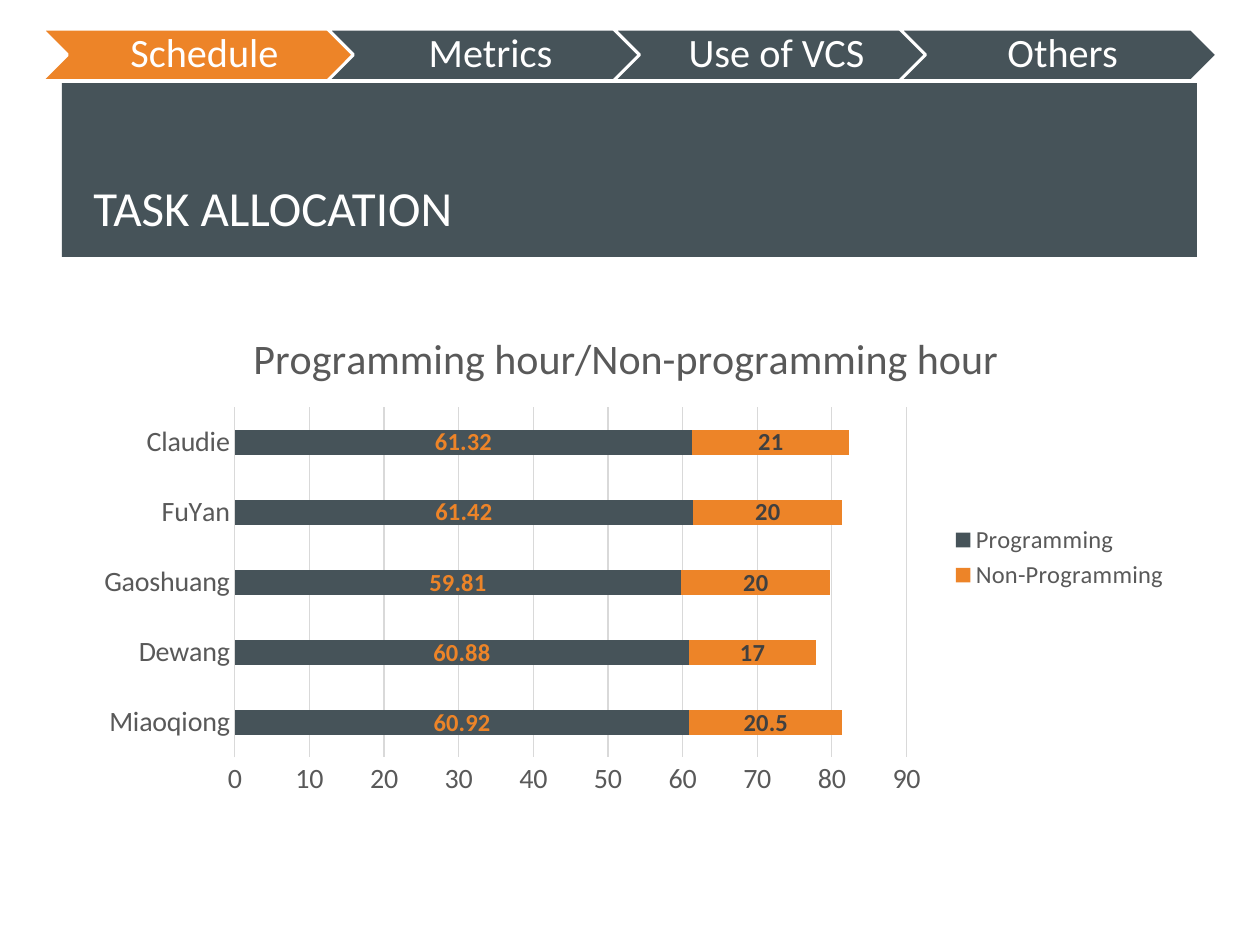
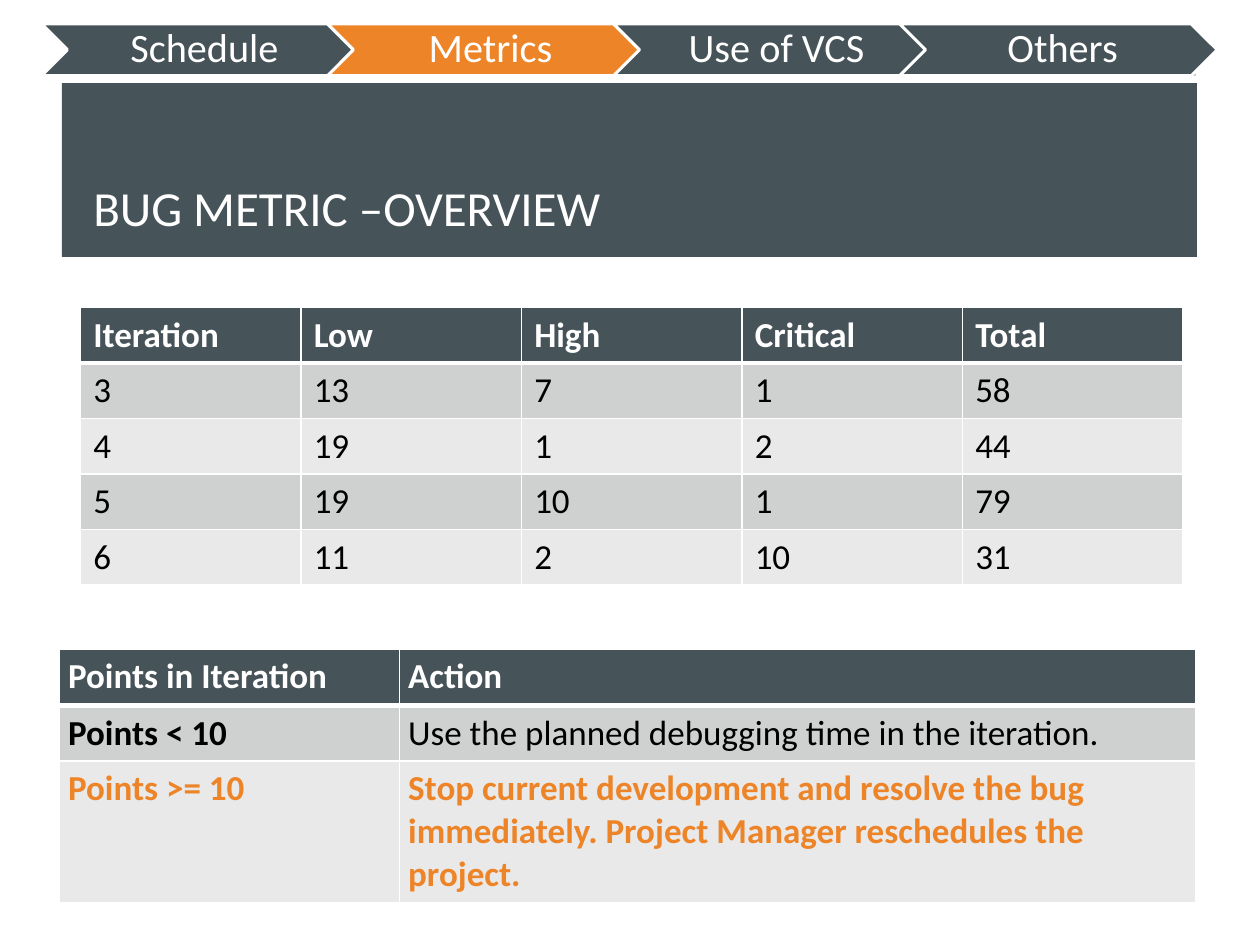
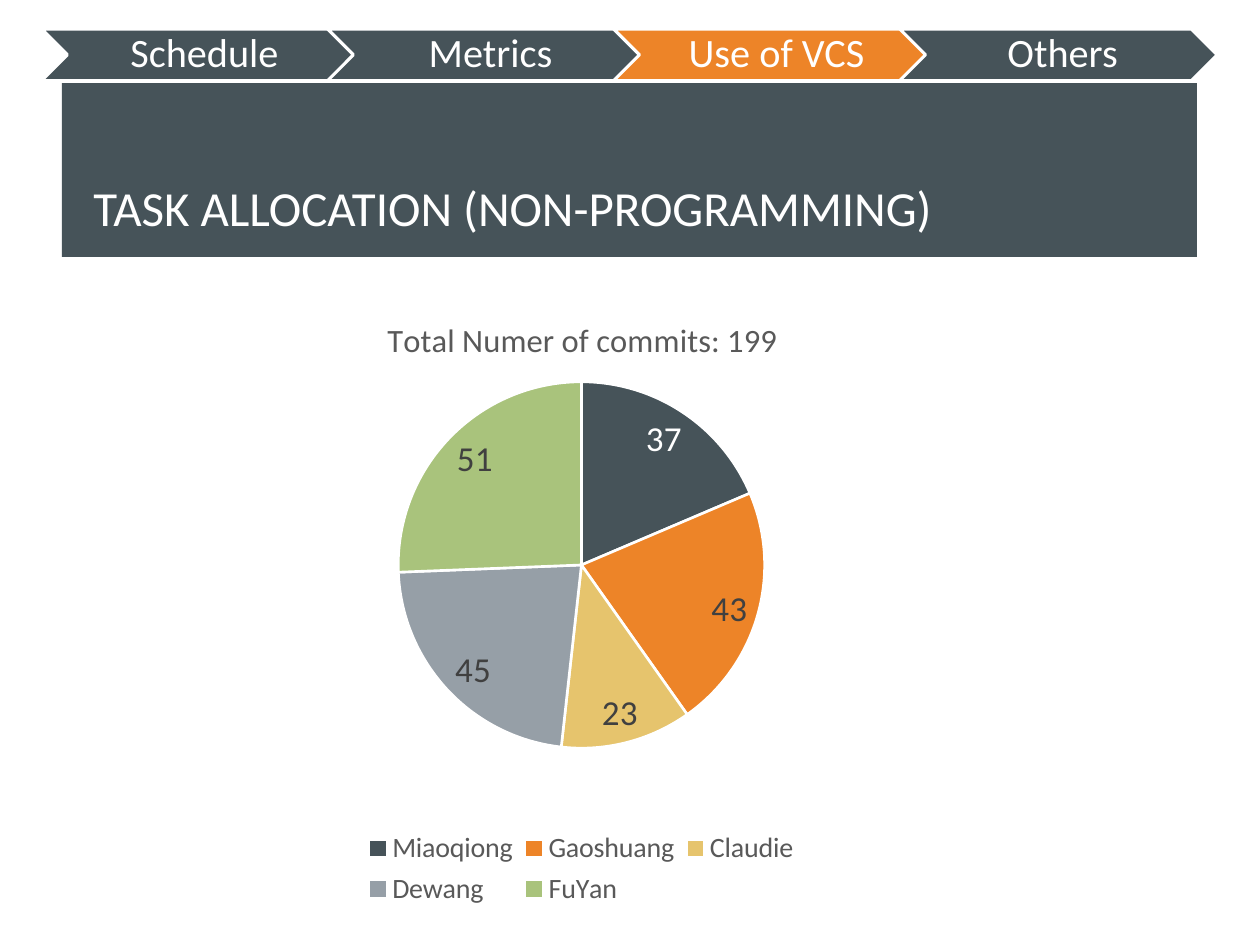
from lxml import etree
from pptx import Presentation
from pptx.chart.data import CategoryChartData
from pptx.dml.color import RGBColor
from pptx.enum.chart import XL_CHART_TYPE, XL_LABEL_POSITION, XL_LEGEND_POSITION, XL_TICK_MARK
from pptx.enum.shapes import MSO_SHAPE
from pptx.enum.text import MSO_ANCHOR, PP_ALIGN
from pptx.oxml.ns import qn
from pptx.util import Inches, Pt

RECTANGLE, CHEVRON = MSO_SHAPE.RECTANGLE, MSO_SHAPE.CHEVRON
BAR_STACKED, PIE = XL_CHART_TYPE.BAR_STACKED, XL_CHART_TYPE.PIE
CENTER_LABEL, BEST_FIT = XL_LABEL_POSITION.CENTER, XL_LABEL_POSITION.BEST_FIT
LEGEND_RIGHT, LEGEND_BOTTOM = XL_LEGEND_POSITION.RIGHT, XL_LEGEND_POSITION.BOTTOM
NO_TICK = XL_TICK_MARK.NONE
MIDDLE, BOTTOM = MSO_ANCHOR.MIDDLE, MSO_ANCHOR.BOTTOM
LEFT, CENTER = PP_ALIGN.LEFT, PP_ALIGN.CENTER

FONT = "Calibri"
TITLE_ONLY = 5
WHITE = RGBColor(0xFF, 0xFF, 0xFF)
BLACK = RGBColor(0x00, 0x00, 0x00)
SLATE = RGBColor(0x46, 0x53, 0x59)
ORANGE = RGBColor(0xED, 0x84, 0x28)
STEEL = RGBColor(0x96, 0x9F, 0xA7)
SAND = RGBColor(0xE6, 0xC4, 0x6D)
GREEN = RGBColor(0xA9, 0xC3, 0x7C)
CHART_TEXT = RGBColor(0x59, 0x59, 0x59)
LABEL_TEXT = RGBColor(0x40, 0x40, 0x40)
GRID = RGBColor(0xD9, 0xD9, 0xD9)
ROW_FILLS = (RGBColor(0xE9, 0xE9, 0xEA), RGBColor(0xCF, 0xD1, 0xD1))

SECTIONS = ("Schedule", "Metrics", "Use of VCS", "Others")


def style_font(font, size, color, bold=False):
    font.name, font.size, font.bold = FONT, Pt(size), bold
    font.color.rgb = color


# Shared frame: bands, title and section chevrons
def add_shape(slide, kind, left, top, width, height, color):
    shape = slide.shapes.add_shape(
        kind, Inches(left), Inches(top), Inches(width), Inches(height))
    shape.shadow.inherit = False
    shape.fill.solid()
    shape.fill.fore_color.rgb = color
    shape.line.fill.background()
    return shape


def add_bands(slide):
    for index, color in enumerate((SLATE, ORANGE, STEEL)):
        add_shape(slide, RECTANGLE, 0.49 + index * 3.02, 0.48, 2.96, 0.12, color)
    add_shape(slide, RECTANGLE, 0.49, 0.66, 9.01, 1.38, SLATE)


def set_title(slide, text):
    title = slide.shapes.title
    title.left, title.top = Inches(0.64), Inches(0.75)
    title.width, title.height = Inches(8.74), Inches(1.18)
    frame = title.text_frame
    frame.text = text
    frame.vertical_anchor = BOTTOM
    frame.paragraphs[0].alignment = LEFT
    style_font(frame.paragraphs[0].runs[0].font, 28, WHITE)
    # Bring the title in front of its band
    slide.shapes._spTree.append(title._element)


def add_sections(slide, active, top):
    for index, name in enumerate(SECTIONS):
        color = ORANGE if name == active else SLATE
        chevron = add_shape(slide, CHEVRON, 0.33 + index * 2.27, top, 2.52, 0.41, color)
        chevron.line.color.rgb = WHITE
        chevron.line.width = Pt(1.75)
        frame = chevron.text_frame
        frame.margin_left = Inches(0.1)
        frame.margin_right = frame.margin_top = frame.margin_bottom = Inches(0.03)
        frame.vertical_anchor = MIDDLE
        frame.text = name
        para = frame.paragraphs[0]
        para.alignment = CENTER
        para.line_spacing = 0.9
        style_font(para.runs[0].font, 23, WHITE)


def add_framed_slide(deck, title, section, sections_top=0.23):
    slide = deck.slides.add_slide(deck.slide_layouts[TITLE_ONLY])
    add_bands(slide)
    set_title(slide, title)
    add_sections(slide, section, sections_top)
    return slide


# Charts
def place_part(part, position, **fractions):
    """Give a chart part a fixed place, in fractions of the chart."""
    old = part.find(qn("c:layout"))
    if old is not None:
        part.remove(old)
    layout = etree.Element(qn("c:layout"))
    manual = etree.SubElement(layout, qn("c:manualLayout"))
    if part.tag == qn("c:plotArea"):
        etree.SubElement(manual, qn("c:layoutTarget"), val="inner")
    for mode in ("xMode", "yMode"):
        etree.SubElement(manual, qn("c:" + mode), val="edge")
    for name, value in fractions.items():
        etree.SubElement(manual, qn("c:" + name), val=str(value))
    part.insert(position, layout)


def add_chart(slide, kind, box, categories, series, title, title_size, title_at,
              plot_at, legend_position, legend_size):
    data = CategoryChartData()
    data.categories = categories
    for name, values in series:
        data.add_series(name, values)
    chart = slide.shapes.add_chart(kind, *map(Inches, box), data).chart
    style_font(chart.font, 10, BLACK)
    frame = chart.chart_title.text_frame
    frame.text = title
    style_font(frame.paragraphs[0].runs[0].font, title_size, CHART_TEXT)
    place_part(chart.chart_title._element, 1, **title_at)
    plot_area = chart._chartSpace.find(".//" + qn("c:plotArea"))
    place_part(plot_area, 0, **plot_at)
    chart.has_legend = True
    chart.legend.position = legend_position
    chart.legend.include_in_layout = False
    style_font(chart.legend.font, legend_size, CHART_TEXT)
    return chart


def show_values(labels, position, size, color, bold=False):
    labels.show_value = True
    labels.position = position
    style_font(labels.font, size, color, bold)


def add_hours_chart(slide):
    chart = add_chart(
        slide, BAR_STACKED, (0.64, 2.44, 8.74, 3.97),
        ("Miaoqiong", "Dewang", "Gaoshuang", "FuYan", "Claudie"),
        (("Programming", (60.92, 60.88, 59.81, 61.42, 61.32)),
         ("Non-Programming", (20.5, 17, 20, 20, 21))),
        "Programming hour/Non-programming hour", 24, dict(x=0.15, y=0.03),
        dict(x=0.14, y=0.2, w=0.61, h=0.7), LEGEND_RIGHT, 14)
    plot = chart.plots[0]
    plot.gap_width, plot.overlap, plot.vary_by_categories = 182, 100, False
    for series, color, label_color in zip(
            plot.series, (SLATE, ORANGE), (ORANGE, LABEL_TEXT)):
        series.format.fill.solid()
        series.format.fill.fore_color.rgb = color
        show_values(series.data_labels, CENTER_LABEL, 14, label_color, True)
    hours = chart.value_axis
    for axis in (chart.category_axis, hours):
        axis.major_tick_mark = axis.minor_tick_mark = NO_TICK
        style_font(axis.tick_labels.font, 16, CHART_TEXT)
    hours.minimum_scale, hours.maximum_scale, hours.major_unit = 0, 90, 10
    hours.format.line.fill.background()
    for line in (chart.category_axis.format.line, hours.major_gridlines.format.line):
        line.color.rgb = GRID
        line.width = Pt(0.75)


def add_commits_chart(slide):
    chart = add_chart(
        slide, PIE, (1.31, 2.32, 6.61, 4.92),
        ("Miaoqiong", "Gaoshuang", "Claudie", "Dewang", "FuYan"),
        (("Series 1", (37, 43, 23, 45, 51)),),
        "Total Numer of commits: 199", 18.6, dict(x=0.26, y=0.03),
        dict(x=0.28, y=0.14, w=0.44, h=0.6), LEGEND_BOTTOM, 16)
    place_part(chart.legend._element, 1, x=0.23, y=0.86, w=0.54, h=0.14)
    plot = chart.plots[0]
    plot.vary_by_categories = True
    commits = plot.series[0]
    for index, color in enumerate((SLATE, ORANGE, SAND, STEEL, GREEN)):
        slice_format = commits.points[index].format
        slice_format.fill.solid()
        slice_format.fill.fore_color.rgb = color
        slice_format.line.color.rgb = WHITE
        slice_format.line.width = Pt(1.5)
    show_values(commits.data_labels, BEST_FIT, 20, LABEL_TEXT)
    dark_slice_label = commits.points[0].data_label
    style_font(dark_slice_label.font, 20, WHITE)
    dark_slice_label.position = BEST_FIT


# Tables
def set_borders(cell, top, bottom):
    properties = cell._tc.get_or_add_tcPr()
    for index, (side, width) in enumerate(
            (("L", 1), ("R", 1), ("T", top), ("B", bottom))):
        line = etree.Element(qn("a:ln" + side), w=str(Pt(width)))
        fill = etree.SubElement(line, qn("a:solidFill"))
        etree.SubElement(fill, qn("a:srgbClr"), val=str(WHITE))
        properties.insert(index, line)


def style_cell(cell, color, bold):
    style_font(cell.text_frame.paragraphs[0].runs[0].font, 20, color, bold)


def add_table(slide, left, top, widths, heights, rows, side_margin):
    table = slide.shapes.add_table(
        len(rows), len(widths), Inches(left), Inches(top),
        Inches(sum(widths)), Inches(sum(heights))).table
    table.horz_banding = False
    for column, width in zip(table.columns, widths):
        column.width = Inches(width)
    for row_index, texts in enumerate(rows):
        table.rows[row_index].height = Inches(heights[row_index])
        is_header = row_index == 0
        for column_index, text in enumerate(texts):
            cell = table.cell(row_index, column_index)
            cell.text = text
            cell.margin_left = cell.margin_right = Inches(side_margin)
            cell.fill.solid()
            cell.fill.fore_color.rgb = SLATE if is_header else ROW_FILLS[row_index % 2]
            set_borders(cell, 3 if row_index == 1 else 1, 3 if is_header else 1)
            style_cell(cell, WHITE if is_header else BLACK, is_header)
    return table


def add_bug_tables(slide):
    add_table(slide, 0.64, 2.44, [1.75] * 5, [0.44] * 5, (
        ("Iteration", "Low", "High", "Critical", "Total"),
        ("3", "13", "7", "1", "58"),
        ("4", "19", "1", "2", "44"),
        ("5", "19", "10", "1", "79"),
        ("6", "11", "2", "10", "31")), 0.1)
    actions = add_table(slide, 0.47, 5.15, (2.7, 6.32), (0.45, 0.44, 1.1), (
        ("Points in Iteration", "Action"),
        ("Points < 10", "Use the planned debugging time in the iteration."),
        ("Points >= 10", "Stop current development and resolve the bug immediately. "
                         "Project Manager reschedules the project.")), 0.07)
    style_cell(actions.cell(1, 0), BLACK, True)
    for column in range(2):
        style_cell(actions.cell(2, column), ORANGE, True)


def main():
    deck = Presentation()
    deck.slide_width, deck.slide_height = Inches(10), Inches(7.5)
    add_hours_chart(add_framed_slide(deck, "TASK ALLOCATION", "Schedule"))
    add_bug_tables(add_framed_slide(deck, "BUG METRIC –OVERVIEW", "Metrics", 0.19))
    add_commits_chart(
        add_framed_slide(deck, "TASK ALLOCATION (NON-PROGRAMMING)", "Use of VCS"))
    deck.save("out.pptx")


if __name__ == "__main__":
    main()
